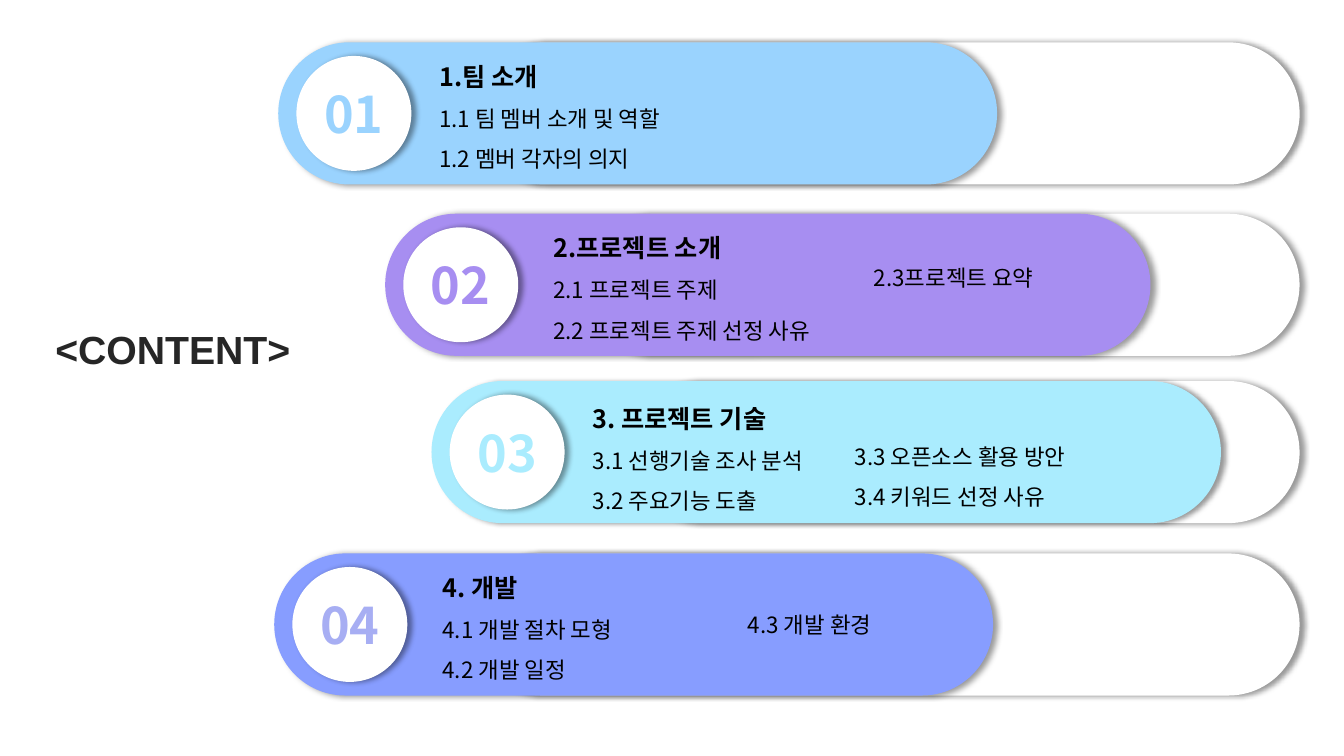
from pptx import Presentation
from pptx.dml.color import RGBColor
from pptx.enum.shapes import MSO_SHAPE as Shape
from pptx.enum.text import MSO_ANCHOR as Anchor, MSO_AUTO_SIZE as AutoSize, PP_ALIGN as Align
from pptx.oxml.ns import qn
from pptx.util import Inches, Pt
from lxml.etree import SubElement

KOREAN_FONT = "Noto Sans CJK KR"
BAR_HEIGHT = 1.41
TRACK_RIGHT = 12.89
TRACK_OFFSET = 1.94
DISC_SIZE = 1.14
DISC_INSET = 0.18

SECTIONS = [
    ("01", 2.76, 0.42, 7.13, "9AD3FE", "9AD3FE", (4.26, 0.41, 4.5),
     ["1.팀 소개", "1.1 팀 멤버 소개 및 역할", "1.2 멤버 각자의 의지"]),
    ("02", 3.82, 2.12, 7.59, "A78EF1", "A78EF1", (5.39, 2.11, 3.18),
     ["2.프로젝트 소개", "2.1 프로젝트 주제", "2.2 프로젝트 주제 선정 사유"]),
    ("03", 4.28, 3.78, 7.83, "AAECFE", "AAECFE", (5.78, 3.8, 4.5),
     ["3. 프로젝트 기술", "3.1 선행기술 조사 분석", "3.2 주요기능 도출"]),
    ("04", 2.72, 5.49, 7.13, "879DFF", "A7AEF3", (4.29, 5.48, 2.38),
     ["4. 개발", "4.1 개발 절차 모형", "4.2 개발 일정"]),
]


def color(value):
    return RGBColor.from_string(value)


def style_para(para, size, font, ink, bold=False):
    for span in para.runs:
        span.font.size = Pt(size)
        span.font.name = font
        span.font.bold = bold
        span.font.color.rgb = color(ink)
        SubElement(span.font._element, qn("a:ea"), typeface=font)


def add_shadowed(page, kind, left, top, width, height, fill):
    shape = page.shapes.add_shape(kind, Inches(left), Inches(top), Inches(width), Inches(height))
    shape.fill.solid()
    shape.fill.fore_color.rgb = color(fill)
    shape.line.fill.background()
    shape.shadow.inherit = False
    effects = shape._element.spPr.find(qn("a:effectLst"))
    shadow = SubElement(effects, qn("a:outerShdw"), blurRad=str(Pt(4)), dist=str(Pt(3)),
                        dir="0", algn="l", rotWithShape="0")
    tint = SubElement(shadow, qn("a:srgbClr"), val="000000")
    SubElement(tint, qn("a:alpha"), val="40000")
    return shape


def add_bar(page, left, top, width, fill):
    bar = add_shadowed(page, Shape.ROUNDED_RECTANGLE, left, top, width, BAR_HEIGHT, fill)
    bar.adjustments[0] = 0.5


def add_number(page, left, top, number, ink):
    disc = add_shadowed(page, Shape.OVAL, left, top, DISC_SIZE, DISC_SIZE, "FFFFFF")
    frame = disc.text_frame
    frame.text = number
    frame.word_wrap = False
    frame.vertical_anchor = Anchor.MIDDLE
    frame.paragraphs[0].alignment = Align.CENTER
    style_para(frame.paragraphs[0], 36, KOREAN_FONT, ink, True)


def add_text(page, left, top, width, height, lines, spacing=1.0):
    box = page.shapes.add_textbox(Inches(left), Inches(top), Inches(width), Inches(height))
    frame = box.text_frame
    frame.word_wrap = True
    frame.auto_size = AutoSize.SHAPE_TO_FIT_TEXT
    frame.text = "\n".join(lines)
    for para in frame.paragraphs:
        para.line_spacing = spacing
        style_para(para, 16, KOREAN_FONT, "000000")
    return frame.paragraphs


def add_section(page, number, left, top, width, fill, ink, place, lines):
    track_left = left + TRACK_OFFSET
    add_bar(page, track_left, top, TRACK_RIGHT - track_left, "FFFFFF")
    add_bar(page, left, top, width, fill)
    add_number(page, left + DISC_INSET, top + (BAR_HEIGHT - DISC_SIZE) / 2, number, ink)
    heading = add_text(page, *place, 1.31, lines, 1.5)[0]
    for span in heading.runs:
        span.font.size = Pt(18)
        span.font.bold = True


def add_title(page):
    box = page.shapes.add_textbox(Inches(0.45), Inches(3.18), Inches(3.23), Inches(0.57))
    box.text_frame.word_wrap = True
    box.text_frame.text = "<CONTENT>"
    style_para(box.text_frame.paragraphs[0], 28, "Arial", "262626", True)


def main():
    deck = Presentation()
    deck.slide_width, deck.slide_height = Inches(13.33), Inches(7.5)
    page = deck.slides.add_slide(deck.slide_layouts[6])
    for section in SECTIONS:
        add_section(page, *section)
    add_title(page)
    add_text(page, 8.38, 4.21, 3.86, 1.21, ["3.3 오픈소스 활용 방안", "3.4 키워드 선정 사유"], 1.5)
    add_text(page, 8.57, 2.57, 2.7, 0.37, ["2.3프로젝트 요약"])
    add_text(page, 7.32, 6.01, 2.1, 0.37, ["4.3 개발 환경"])
    deck.save("out.pptx")


if __name__ == "__main__":
    main()
